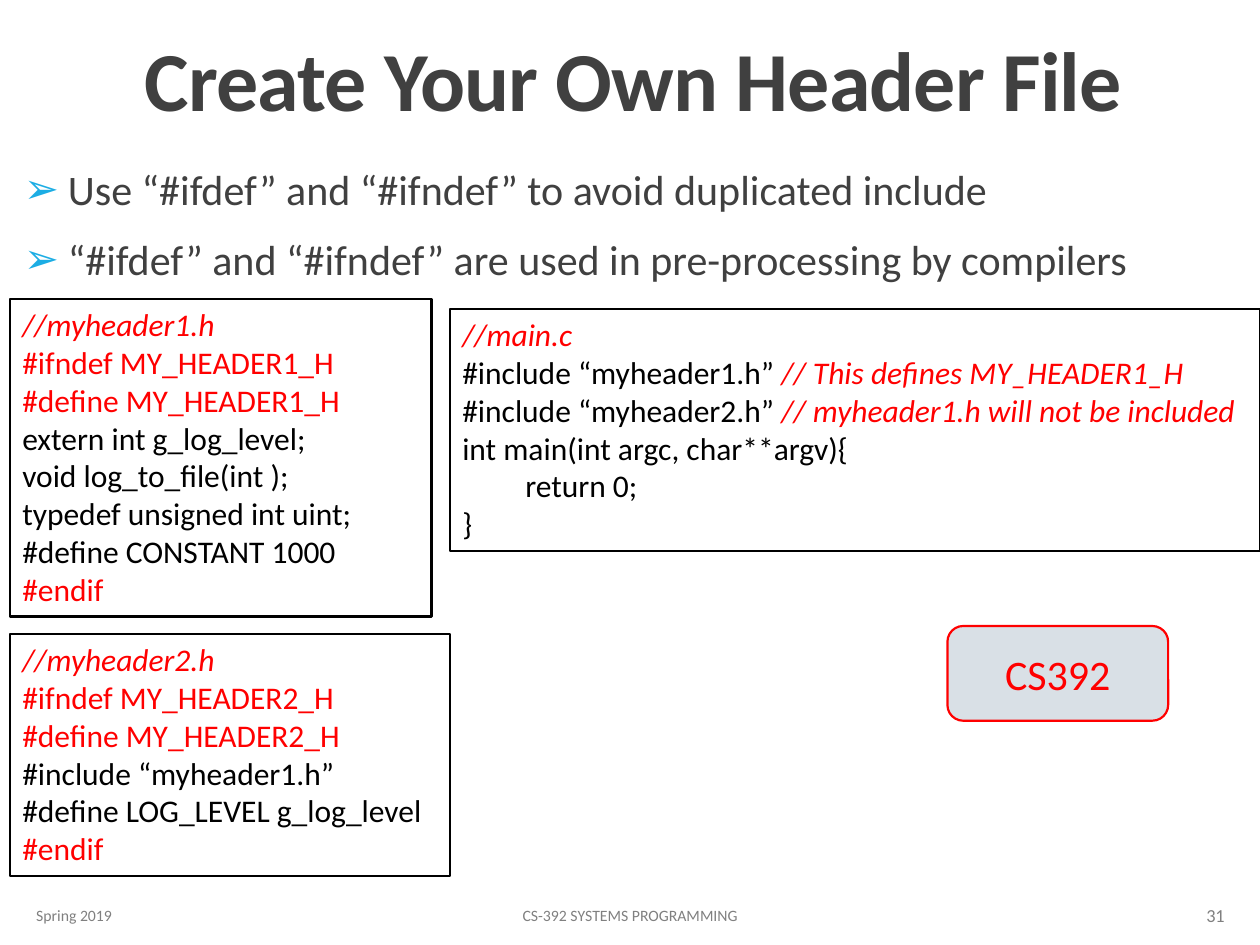
import pptx
import pptx.util
import pptx.dml.color
import pptx.enum.shapes
import pptx.enum.text
import pptx.oxml
import pptx.oxml.ns

Cm, Pt = pptx.util.Cm, pptx.util.Pt
ALIGN = pptx.enum.text.PP_ALIGN
ANCHOR = pptx.enum.text.MSO_ANCHOR
AUTO = pptx.enum.text.MSO_AUTO_SIZE
SHAPE = pptx.enum.shapes.MSO_SHAPE

COLORS = {
    "white": "FFFFFF",
    "black": "000000",
    "red": "FF0000",
    "title": "404040",
    "bullet": "1CADE4",
    "footer": "808080",
    "badge": "D9E0E6",
}
CODE_STYLES = {
    "comment": {"color": "red", "italic": True},
    "guard": {"color": "red"},
    "code": {"color": "black"},
}
HEADER1 = [
    [("comment", "//myheader1.h")],
    [("guard", "#ifndef MY_HEADER1_H")],
    [("guard", "#define MY_HEADER1_H")],
    [("code", "extern int g_log_level;")],
    [("code", "void log_to_file(int );")],
    [("code", "typedef unsigned int uint;")],
    [("code", "#define CONSTANT 1000")],
    [("guard", "#endif")],
]
HEADER2 = [
    [("comment", "//myheader2.h")],
    [("guard", "#ifndef MY_HEADER2_H")],
    [("guard", "#define MY_HEADER2_H")],
    [("code", "#include “myheader1.h”")],
    [("code", "#define LOG_LEVEL g_log_level")],
    [("guard", "#endif")],
]
MAIN = [
    [("comment", "//main.c")],
    [("code", "#include “myheader1.h” "), ("comment", "// This defines MY_HEADER1_H")],
    [("code", "#include “myheader2.h” "), ("comment", "// myheader1.h will not be included")],
    [("code", "int main(int argc, char**argv){")],
    [("code", "\treturn 0;")],
    [("code", "}")],
]
BULLETS = [
    "Use “#ifdef” and “#ifndef” to avoid duplicated include",
    "“#ifdef” and “#ifndef” are used in pre-processing by compilers",
]


def rgb(name):
    """Return the named colour."""
    return pptx.dml.color.RGBColor.from_string(COLORS[name])


def set_attrs(obj, **values):
    """Set every given attribute on an object."""
    for name, value in values.items():
        setattr(obj, name, value)


def add_run(p, text, size, color, **font):
    """Append a formatted run to a paragraph."""
    r = p.add_run()
    r.text = text
    set_attrs(r.font, name="Calibri", size=Pt(size), **font)
    r.font.color.rgb = rgb(color)
    return r


def add_text(s, box, **frame):
    """Add an empty wrapping text box and return its frame."""
    tf = s.shapes.add_textbox(*map(Cm, box)).text_frame
    set_attrs(tf, word_wrap=True, **frame)
    return tf


def add_panel(s, kind, box, fill, line, width):
    """Add an outlined shape without shadow and return its frame."""
    sp = s.shapes.add_shape(kind, *map(Cm, box))
    sp.shadow.inherit = False
    if fill:
        sp.fill.solid()
        sp.fill.fore_color.rgb = rgb(fill)
    else:
        sp.fill.background()
    sp.line.color.rgb = rgb(line)
    sp.line.width = Pt(width)
    sp.text_frame.word_wrap = True
    return sp.text_frame


def paragraphs(tf, items):
    """Yield a paragraph of the frame together with each item."""
    for i, item in enumerate(items):
        yield (tf.add_paragraph() if i else tf.paragraphs[0]), item


def add_title(s, box, text):
    """Place the slide title at the bottom of its box."""
    p = add_text(s, box, vertical_anchor=ANCHOR.BOTTOM).paragraphs[0]
    set_attrs(p, alignment=ALIGN.CENTER, line_spacing=0.85)
    r = add_run(p, text, 48, "title", bold=True)
    r.font._element.set("spc", "-50")


def add_bullets(s, box, lines):
    """Place the arrow-bulleted list."""
    tf = add_text(s, box, margin_left=0, margin_right=0)
    for p, line in paragraphs(tf, lines):
        first = line == lines[0]
        set_attrs(p, line_spacing=0.9, space_before=Pt(0 if first else 12), space_after=Pt(2))
        pPr = p._p.get_or_add_pPr()
        pPr.set("marL", str(Cm(0.89)))
        pPr.set("indent", str(-Cm(0.89)))
        ns = pptx.oxml.ns.nsdecls("a")
        for xml in (
            f'<a:buClr {ns}><a:srgbClr val="{COLORS["bullet"]}"/></a:buClr>',
            f'<a:buFont {ns} typeface="Wingdings"/>'.replace("Wingdings", "Calibri"),
            f'<a:buChar {ns} char="➢"/>',
        ):
            pPr.append(pptx.oxml.parse_xml(xml))
        add_run(p, line, 24, "title")


def add_code(s, box, lines, fill="white", width=1.25):
    """Place a framed code listing."""
    tf = add_panel(s, SHAPE.RECTANGLE, box, fill, "black", width)
    set_attrs(tf, vertical_anchor=ANCHOR.TOP, auto_size=AUTO.SHAPE_TO_FIT_TEXT)
    for p, runs in paragraphs(tf, lines):
        p.alignment = ALIGN.LEFT
        for style, text in runs:
            add_run(p, text, 18, **CODE_STYLES[style])


def add_badge(s, box, text):
    """Place the rounded course badge."""
    tf = add_panel(s, SHAPE.ROUNDED_RECTANGLE, box, "badge", "red", 1.25)
    tf.vertical_anchor = ANCHOR.MIDDLE
    tf.paragraphs[0].alignment = ALIGN.CENTER
    add_run(tf.paragraphs[0], text, 24, "red")


def add_footer(s, box):
    """Place the date, course name and page number along the bottom."""
    left, top, width, height = box
    parts = [
        (0, 5.16, "Spring 2019", 9, ALIGN.LEFT),
        (7.19, 10.06, "CS-392 SYSTEMS PROGRAMMING", 9, ALIGN.CENTER),
        (width - 2.74, 2.74, "31", 10.5, ALIGN.RIGHT),
    ]
    for x, w, text, size, align in parts:
        tf = add_text(s, (left + x, top, w, height), vertical_anchor=ANCHOR.MIDDLE)
        tf.paragraphs[0].alignment = align
        add_run(tf.paragraphs[0], text, size, "footer")


def main():
    """Build and save the slide."""
    prs = pptx.Presentation()
    set_attrs(prs, slide_width=Cm(25.4), slide_height=Cm(19.05))
    s = prs.slides.add_slide(prs.slide_layouts[6])
    add_title(s, (2.29, 0.1, 20.95, 2.62), "Create Your Own Header File")
    add_bullets(s, (0.48, 3.28, 24.43, 13.41), BULLETS)
    add_footer(s, (0.48, 17.94, 24.46, 1.01))
    add_code(s, (0.2, 6.03, 8.5, 6.4), HEADER1)
    add_code(s, (0.2, 12.78, 8.88, 4.88), HEADER2)
    add_code(s, (9.07, 6.23, 16.33, 4.88), MAIN, fill=None, width=0.75)
    add_badge(s, (19.1, 12.62, 4.45, 1.91), "CS392")
    prs.save("out.pptx")


if __name__ == "__main__":
    main()
